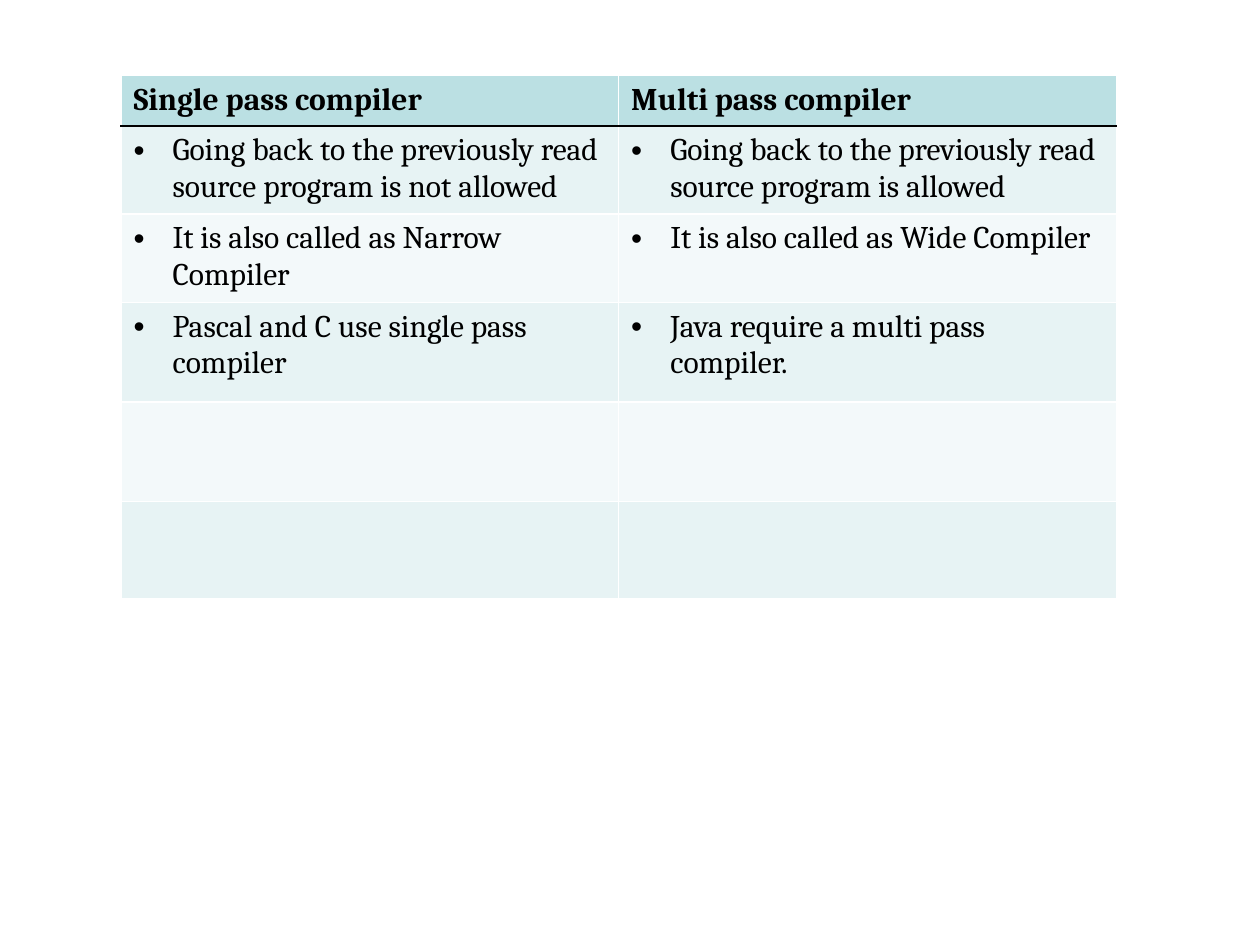
from lxml.etree import SubElement
from pptx import Presentation
from pptx.dml.color import RGBColor
from pptx.oxml.ns import qn
from pptx.util import Inches, Pt

# Content
HEADER = ("Single pass compiler", "Multi pass compiler")
BODY = [
    ("Going back to the previously read source program is not allowed",
     "Going back to the previously read source program is allowed"),
    ("It is also called as Narrow Compiler", "It is also called as Wide Compiler"),
    ("Pascal and C use single pass compiler", "Java require a multi pass compiler."),
    ("", ""),
    ("", ""),
]
ROWS = [HEADER] + BODY

# Layout and colours
LEFT, TOP, COL_WIDTH = 0.96, 0.6, 3.95
ROW_HEIGHTS = [0.4, 0.7, 0.7, 0.79, 0.79, 0.77]
HEADER_FILL, BAND_FILLS = "BBE0E3", ("E7F3F4", "F3F9FA")
TEXT, GRID, RULE = "000000", "FFFFFF", "000000"
INDENT = Inches(0.31)


def rgb(color):
    return RGBColor.from_string(color)


def add_borders(cell, colors):
    tc_pr = cell._tc.get_or_add_tcPr()
    for side, color in colors.items():
        ln = SubElement(tc_pr, qn(f"a:ln{side}"), w=str(Pt(1)))
        SubElement(SubElement(ln, qn("a:solidFill")), qn("a:srgbClr"), val=color)


def add_bullet(p):
    p_pr = p._p.get_or_add_pPr()
    p_pr.set("marL", str(INDENT))
    p_pr.set("indent", str(-INDENT))
    SubElement(p_pr, qn("a:buFont"), typeface="Arial")
    SubElement(p_pr, qn("a:buChar"), char="•")


def fill_cell(cell, text, row):
    # The dark rule runs between the header and the first body row
    add_borders(cell, {"L": GRID, "R": GRID,
                       "T": RULE if row == 1 else GRID,
                       "B": RULE if row == 0 else GRID})
    cell.fill.solid()
    cell.fill.fore_color.rgb = rgb(BAND_FILLS[(row - 1) % 2] if row else HEADER_FILL)
    if not text:
        return
    p = cell.text_frame.paragraphs[0]
    if row:
        add_bullet(p)
    r = p.add_run()
    r.text = text
    font_format = {"name": "Cambria", "size": Pt(18), "bold": row == 0}
    for name, value in font_format.items():
        setattr(r.font, name, value)
    r.font.color.rgb = rgb(TEXT)


def main():
    prs = Presentation()
    prs.slide_width, prs.slide_height = Inches(10), Inches(7.5)
    s = prs.slides.add_slide(prs.slide_layouts[6])

    # Comparison table
    table = s.shapes.add_table(
        len(ROWS), len(HEADER), Inches(LEFT), Inches(TOP),
        Inches(COL_WIDTH * len(HEADER)), Inches(sum(ROW_HEIGHTS))).table
    for column in table.columns:
        column.width = Inches(COL_WIDTH)
    for i, (height, texts) in enumerate(zip(ROW_HEIGHTS, ROWS)):
        table.rows[i].height = Inches(height)
        for j, text in enumerate(texts):
            fill_cell(table.cell(i, j), text, i)

    prs.save("out.pptx")


if __name__ == "__main__":
    main()
